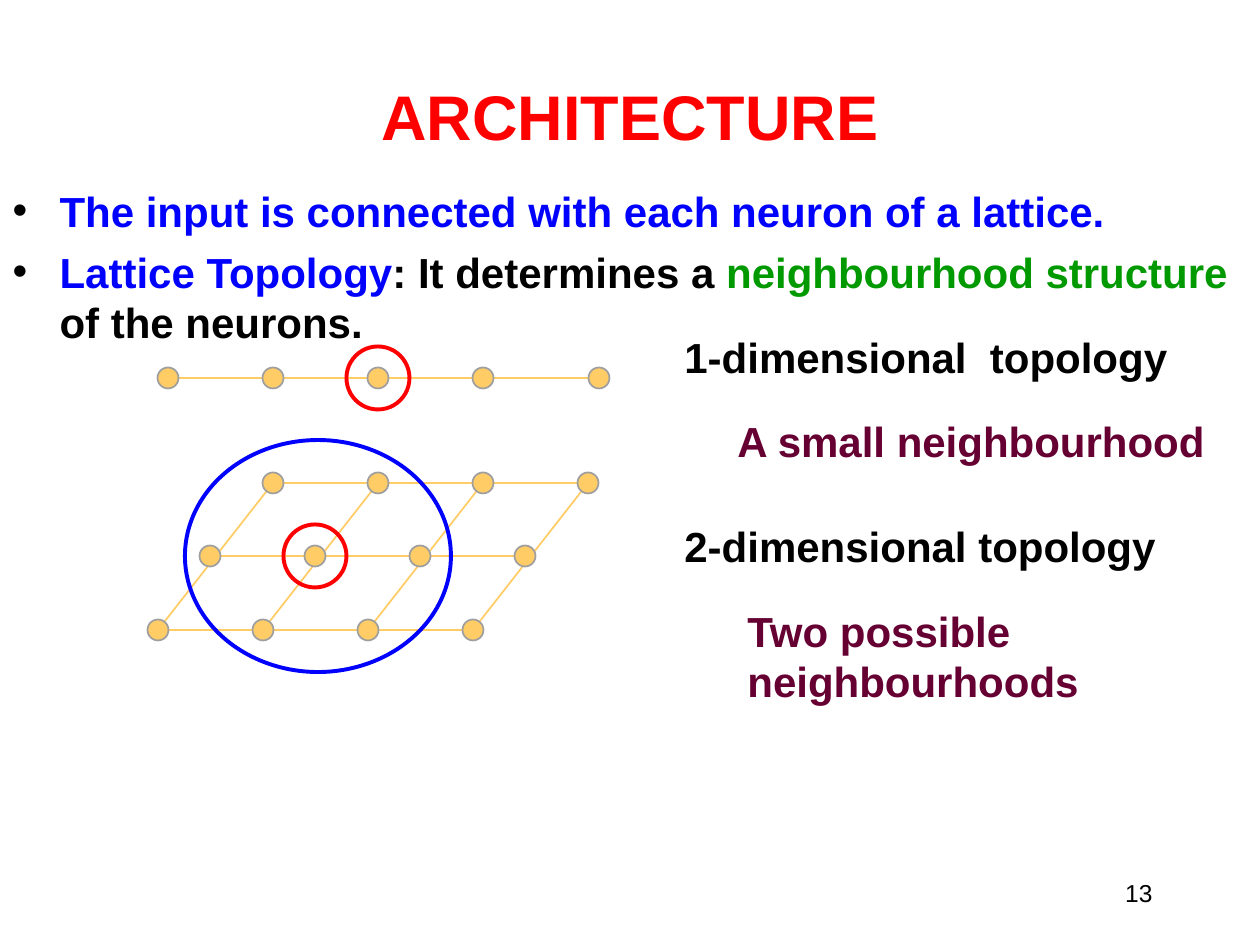
from lxml import etree
from pptx import Presentation
from pptx.dml.color import RGBColor
from pptx.enum.shapes import MSO_CONNECTOR, MSO_SHAPE
from pptx.enum.text import MSO_ANCHOR, MSO_AUTO_SIZE, PP_ALIGN
from pptx.oxml.ns import qn
from pptx.util import Emu, Pt

STRAIGHT, OVAL = MSO_CONNECTOR.STRAIGHT, MSO_SHAPE.OVAL
TOP, MIDDLE = MSO_ANCHOR.TOP, MSO_ANCHOR.MIDDLE
LEFT, CENTER, RIGHT = PP_ALIGN.LEFT, PP_ALIGN.CENTER, PP_ALIGN.RIGHT
NO_AUTOFIT, GROW = MSO_AUTO_SIZE.NONE, MSO_AUTO_SIZE.SHAPE_TO_FIT_TEXT

SCALE = 914400 / 126
THEME = {
    "font": "Arial",
    "title_size": 36, "text_size": 24, "number_size": 14,
    "red": "FF0000", "blue": "0000FF", "green": "009900", "black": "000000",
    "plum": "660033", "node": "FFCC66", "node_edge": "9F9F9F",
    "thin": 1, "thick": 2.25,
}
NODE, STEP, SMALL_RING = 21, 105, 63
TITLE = ("ARCHITECTURE", "red")
POINTS = [
    [("The input is connected with each neuron of a lattice.", "blue")],
    [("Lattice Topology", "blue"), (": It determines a ", "black"),
     ("neighbourhood structure", "green"), (" of the neurons.", "black")],
]
LABELS = [
    ("1-dimensional  topology", "black", (672, 325, 508, 63)),
    ("2-dimensional topology", "black", (672, 514, 508, 63)),
    ("Two possible neighbourhoods", "plum", (735, 599, 483, 113)),
    ("A small neighbourhood", "plum", (725, 409, 504, 63)),
]
PAGE_NUMBER = ("13", "black", (903, 861, 262, 63))
CHAIN = [(x, 378) for x in (168, 273, 378, 483, 599)]
LATTICE = [[(start + STEP * column, y) for column in range(4)]
           for start, y in ((273, 483), (210, 556), (158, 630))]
LARGE_RING = (185, 440, 266, 232)


def px(value):
    return Emu(round(value * SCALE))


def color(key):
    return RGBColor.from_string(THEME[key])


def place(shape, box):
    for side, value in zip(("left", "top", "width", "height"), box):
        setattr(shape, side, px(value))


def write(paragraph, runs, size="text_size", bold=True, align=LEFT):
    paragraph.alignment = align
    for text, tint in runs:
        run = paragraph.add_run()
        run.text = text
        style = {"name": THEME["font"], "size": Pt(THEME[size]), "bold": bold}
        for attribute, value in style.items():
            setattr(run.font, attribute, value)
        run.font.color.rgb = color(tint)


def add_bullet(paragraph):
    properties = paragraph._p.get_or_add_pPr()
    for attribute, value in (("marL", px(47)), ("indent", -px(47))):
        properties.set(attribute, str(value))
    bullet_color = etree.SubElement(properties, qn("a:buClr"))
    etree.SubElement(bullet_color, qn("a:srgbClr"), val=THEME["black"])
    etree.SubElement(properties, qn("a:buFont"), typeface=THEME["font"])
    etree.SubElement(properties, qn("a:buChar"), char="•")


def add_label(slide, text, tint, box, fit=GROW, anchor=TOP, **style):
    label = slide.shapes.add_textbox(*map(px, box))
    frame = label.text_frame
    frame.word_wrap = True
    frame.auto_size = fit
    frame.vertical_anchor = anchor
    write(frame.paragraphs[0], [(text, tint)], **style)


def add_oval(shapes, box, edge, width, fill=None):
    oval = shapes.add_shape(OVAL, *map(px, box))
    oval.shadow.inherit = False
    if fill:
        oval.fill.solid()
        oval.fill.fore_color.rgb = color(fill)
    else:
        oval.fill.background()
    oval.line.color.rgb = color(edge)
    oval.line.width = Pt(THEME[width])


def centred(center, size):
    x, y = center
    return x - size / 2, y - size / 2, size, size


def add_network(slide, links, nodes, winner):
    shapes = slide.shapes.add_group_shape().shapes
    for start, end in links:
        link = shapes.add_connector(STRAIGHT, *map(px, (*start, *end)))
        link.line.color.rgb = color("node")
        link.line.width = Pt(THEME["thin"])
        etree.SubElement(link._element.spPr, qn("a:effectLst"))
    for node in nodes:
        add_oval(shapes, centred(node, NODE), "node_edge", "thin", "node")
    add_oval(shapes, centred(winner, SMALL_RING), "red", "thick")


def main():
    deck = Presentation()
    deck.slide_width, deck.slide_height = px(1260), px(945)
    slide = deck.slides.add_slide(deck.slide_layouts[1])

    title, body = slide.shapes.title, slide.placeholders[1]
    place(title, (0, 52, 1260, 126))
    place(body, (0, 179, 1260, 577))
    for holder, anchor in ((title, MIDDLE), (body, TOP)):
        holder.text_frame.auto_size = NO_AUTOFIT
        holder.text_frame.vertical_anchor = anchor
    write(title.text_frame.paragraphs[0], [TITLE], "title_size", align=CENTER)

    for index, runs in enumerate(POINTS):
        frame = body.text_frame
        paragraph = frame.add_paragraph() if index else frame.paragraphs[0]
        add_bullet(paragraph)
        paragraph.space_before = Pt(6 if index else 0)
        write(paragraph, runs)

    add_network(slide, [(CHAIN[0], CHAIN[-1])], CHAIN, CHAIN[2])
    rows = [(row[0], row[-1]) for row in LATTICE]
    diagonals = list(zip(LATTICE[-1], LATTICE[0]))
    add_network(slide, diagonals + rows, sum(LATTICE, []), LATTICE[1][1])
    add_oval(slide.shapes, LARGE_RING, "blue", "thick")

    for label in LABELS:
        add_label(slide, *label)
    add_label(slide, *PAGE_NUMBER, fit=NO_AUTOFIT, anchor=MIDDLE,
              size="number_size", bold=False, align=RIGHT)
    deck.save("out.pptx")


if __name__ == "__main__":
    main()
